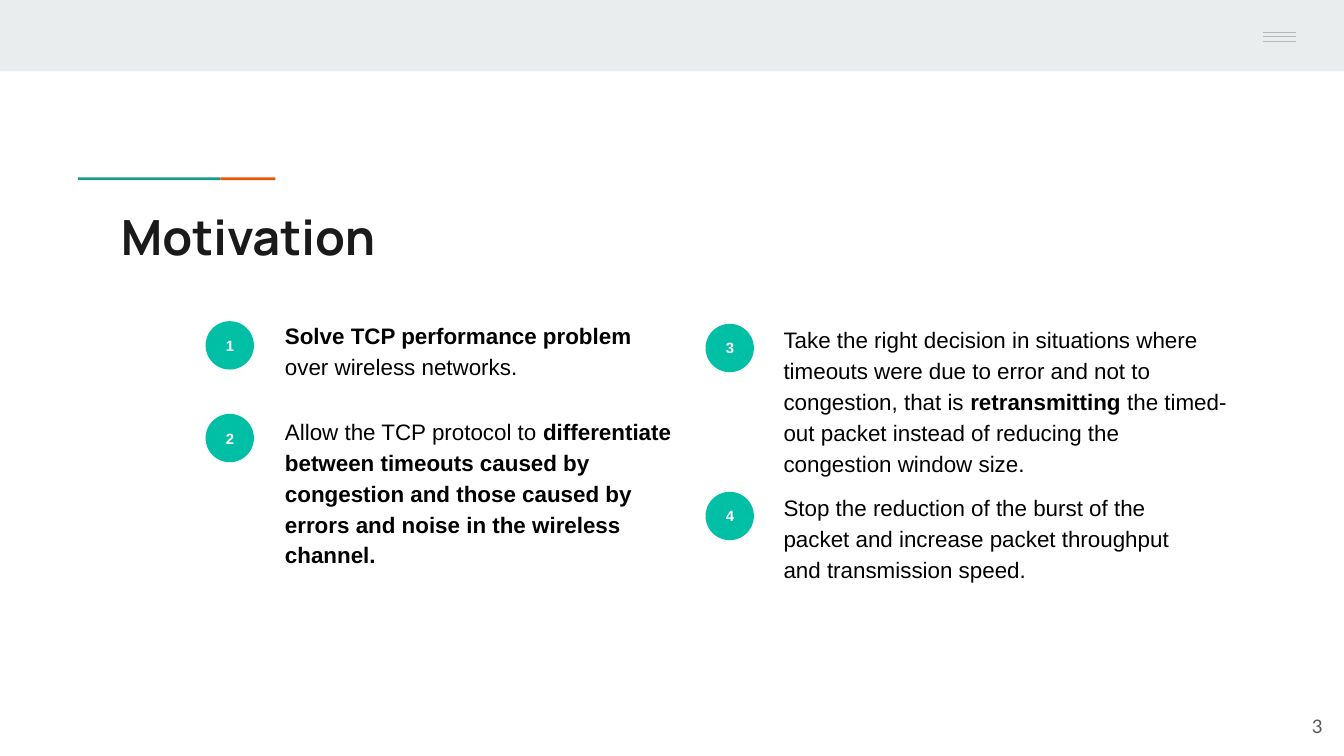
"""Build the Motivation slide with four numbered points."""
import pptx
import pptx.util
import pptx.dml.color
import pptx.enum.shapes
import pptx.enum.text
import pptx.oxml.ns
import lxml.etree

Inches = pptx.util.Inches
Pt = pptx.util.Pt
shape = pptx.enum.shapes.MSO_SHAPE
align = pptx.enum.text.PP_ALIGN
anchor = pptx.enum.text.MSO_ANCHOR
qn = pptx.oxml.ns.qn

theme = {
    "band": "E9EDEE", "teal": "1A9988", "orange": "EB5600",
    "badge": "00BFA5", "rule": "B7B7B7",
    "title": {"name": "Manrope", "size": Pt(26), "color": "1A1A1A"},
    "body": {"name": "Arial", "size": Pt(12), "color": "000000"},
    "count": {"name": "Arial", "size": Pt(8), "color": "FFFFFF"},
    "page": {"name": "Lato", "size": Pt(10), "color": "595959"},
}


def draw(kind, box, color):
    item = slide.shapes.add_shape(kind, *map(Inches, box))
    item.shadow.inherit = False
    item.fill.solid()
    item.fill.fore_color.rgb = pptx.dml.color.RGBColor.from_string(color)
    item.line.fill.background()
    return item


def write(item, runs, style, side=align.LEFT, hold=anchor.TOP, lead=1.0, after=0):
    frame = item.text_frame
    inset = Inches(0.1)
    box = {"margin_left": inset, "margin_right": inset, "margin_top": inset,
           "margin_bottom": inset, "word_wrap": True, "vertical_anchor": hold,
           "auto_size": pptx.enum.text.MSO_AUTO_SIZE.NONE}
    for key, value in box.items():
        setattr(frame, key, value)
    para = frame.paragraphs[0]
    form = {"alignment": side, "line_spacing": lead,
            "space_before": Pt(0), "space_after": Pt(after)}
    for key, value in form.items():
        setattr(para, key, value)
    props = para._p.get_or_add_pPr()
    props.set("marL", "0")
    props.set("indent", "0")
    lxml.etree.SubElement(props, qn("a:buNone"))
    for text, bold in runs:
        run = para.add_run()
        run.text = text
        font = {"name": style["name"], "size": style["size"], "bold": bold}
        for key, value in font.items():
            setattr(run.font, key, value)
        run.font.color.rgb = pptx.dml.color.RGBColor.from_string(style["color"])


deck = pptx.Presentation()
deck.slide_width, deck.slide_height = Inches(10), Inches(10 * 9 / 16)
slide = deck.slides.add_slide(deck.slide_layouts.get_by_name("Comparison"))

draw(shape.RECTANGLE, (0, 0, 10, 0.53), theme["band"])
draw(shape.RECTANGLE, (0.58, 1.32, 1.06, 0.02), theme["teal"])
draw(shape.RECTANGLE, (1.64, 1.32, 0.41, 0.02), theme["orange"])

for top in (0.24, 0.27, 0.31):
    rule = slide.shapes.add_connector(
        pptx.enum.shapes.MSO_CONNECTOR.STRAIGHT,
        *map(Inches, (9.4, top, 9.64, top)))
    rule.line.width = Pt(0.75)
    rule.line.color.rgb = pptx.dml.color.RGBColor.from_string(theme["rule"])
    lxml.etree.SubElement(rule._element.spPr, qn("a:effectLst"))

title = slide.shapes.title
title.left, title.top, title.width, title.height = map(Inches, (0.8, 1.44, 8.41, 0.59))
write(title, [("Motivation", True)], theme["title"])

points = [
    (1.53, 2.39, (2.02, 2.27, 3.1, 1.15), 0, [
        ("Solve TCP performance problem", True),
        (" over wireless networks.", False)]),
    (1.53, 3.08, (2.02, 2.98, 3.1, 1.15), 0, [
        ("Allow the TCP protocol to ", False),
        ("differentiate between timeouts caused by congestion and those "
         "caused by errors and noise in the wireless channel.", True)]),
    (5.25, 2.41, (5.73, 2.3, 3.51, 1.15), 16, [
        ("Take the right decision in situations where timeouts were due to "
         "error and not to congestion, that is ", False),
        ("retransmitting ", True),
        ("the timed-out packet instead of reducing the congestion window "
         "size.", False)]),
    (5.25, 3.66, (5.73, 3.55, 3.1, 1.15), 0, [
        ("Stop the reduction of the burst of the packet and increase packet "
         "throughput and transmission speed.", False)]),
]
for count, (left, top, box, after, runs) in enumerate(points, 1):
    badge = draw(shape.OVAL, (left, top, 0.36, 0.36), theme["badge"])
    write(badge, [(str(count), True)], theme["count"], align.CENTER, anchor.MIDDLE)
    body = slide.placeholders[count]
    body.left, body.top, body.width, body.height = map(Inches, box)
    write(body, runs, theme["body"], lead=1.15, after=after)

page = slide.shapes.add_textbox(*map(Inches, (9.34, 5.19, 0.6, 0.43)))
write(page, [("3", False)], theme["page"], align.RIGHT, anchor.MIDDLE)

deck.save("out.pptx")
